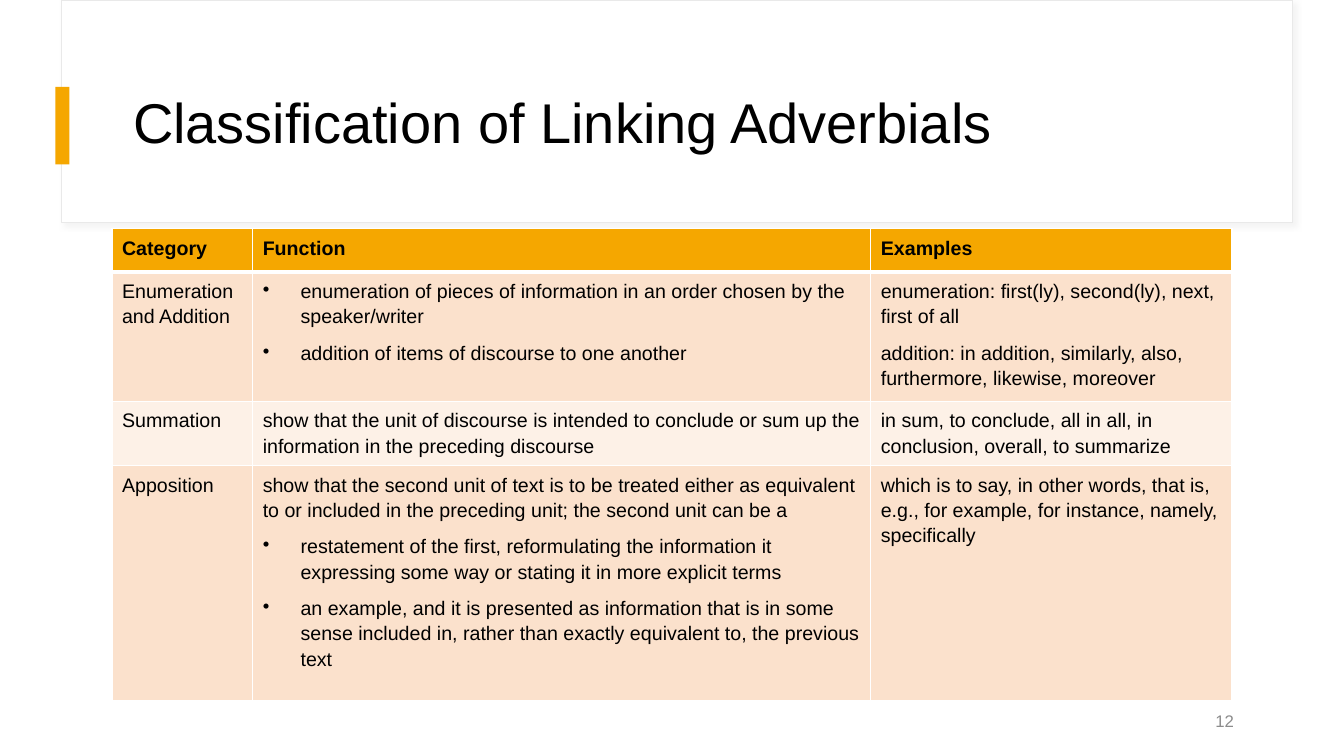
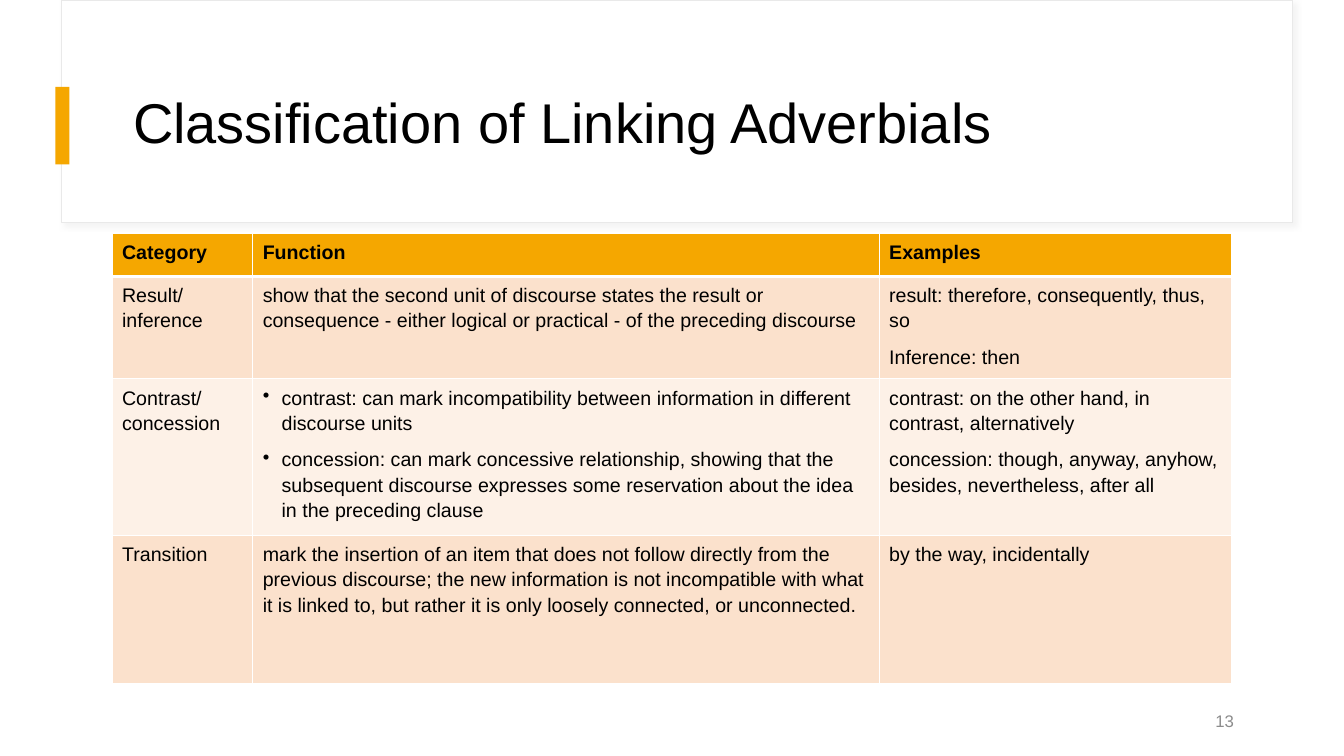
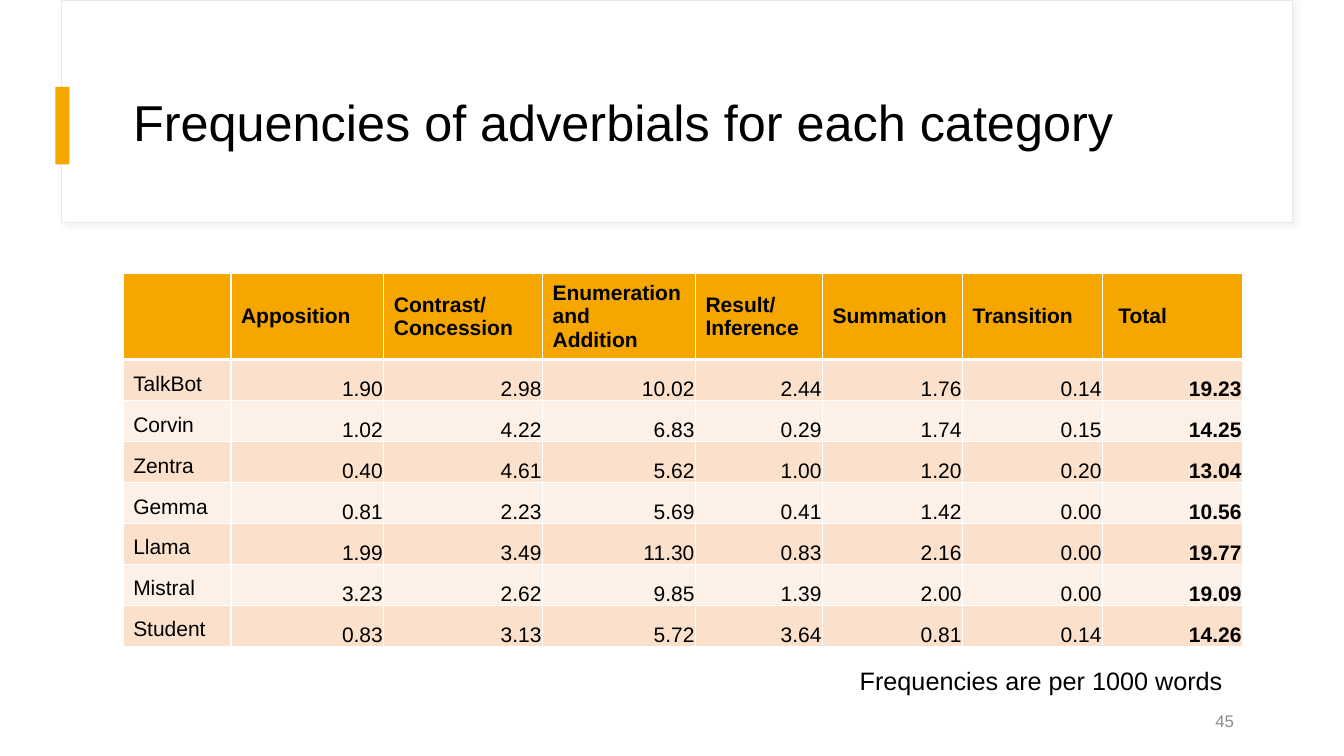
from copy import deepcopy

from lxml import etree
from pptx import Presentation
from pptx.dml.color import RGBColor
from pptx.enum import shapes, text
from pptx.oxml import ns
from pptx.util import Pt

FONT = "Arial"
COLORS = {"white": "FFFFFF", "accent": "F5A700", "odd": "FBE1CC", "even": "FDF1E7",
          "outline": "E9E9E9", "shadow": "D9D9D9", "text": "000000", "number": "8C8C8C"}
ANCHOR = text.MSO_ANCHOR
ALIGN = text.PP_ALIGN
BULLET = "• "
CELL_INSETS = (7.2, 3.6, 7.2, 3.6)
FIGURE_INSETS = (0.72, 0.72, 0.72, 0)

HEADINGS = ["Category", "Function", "Examples"]
FIRST_CATEGORIES = [
    HEADINGS,
    ["Enumeration and Addition",
     ["• enumeration of pieces of information in an order chosen by the speaker/writer",
      "• addition of items of discourse to one another"],
     ["enumeration: first(ly), second(ly), next, first of all",
      "addition: in addition, similarly, also, furthermore, likewise, moreover"]],
    ["Summation",
     "show that the unit of discourse is intended to conclude or sum up the information "
     "in the preceding discourse",
     "in sum, to conclude, all in all, in conclusion, overall, to summarize"],
    ["Apposition",
     ["show that the second unit of text is to be treated either as equivalent to or "
      "included in the preceding unit; the second unit can be a",
      "• restatement of the first, reformulating the information it expressing some way "
      "or stating it in more explicit terms",
      "• an example, and it is presented as information that is in some sense included in, "
      "rather than exactly equivalent to, the previous text"],
     "which is to say, in other words, that is, e.g., for example, for instance, namely, "
     "specifically"],
]
SECOND_CATEGORIES = [
    HEADINGS,
    ["Result/\ninference",
     "show that the second unit of discourse states the result or consequence - either "
     "logical or practical - of the preceding discourse",
     ["result: therefore, consequently, thus, so", "Inference: then"]],
    ["Contrast/\nconcession",
     ["• contrast: can mark incompatibility between information in different discourse units",
      "• concession: can mark concessive relationship, showing that the subsequent discourse "
      "expresses some reservation about the idea in the preceding clause"],
     ["contrast: on the other hand, in contrast, alternatively",
      "concession: though, anyway, anyhow, besides, nevertheless, after all"]],
    ["Transition",
     "mark the insertion of an item that does not follow directly from the previous "
     "discourse; the new information is not incompatible with what it is linked to, but "
     "rather it is only loosely connected, or unconnected.",
     "by the way, incidentally"],
]
FREQUENCIES = [
    ["", "Apposition", "Contrast/\nConcession", "Enumeration and\nAddition",
     "Result/\nInference", "Summation", "Transition", " Total"],
    ["TalkBot", "1.90", "2.98", "10.02", "2.44", "1.76", "0.14", "19.23"],
    ["Corvin", "1.02", "4.22", "6.83", "0.29", "1.74", "0.15", "14.25"],
    ["Zentra", "0.40", "4.61", "5.62", "1.00", "1.20", "0.20", "13.04"],
    ["Gemma", "0.81", "2.23", "5.69", "0.41", "1.42", "0.00", "10.56"],
    ["Llama", "1.99", "3.49", "11.30", "0.83", "2.16", "0.00", "19.77"],
    ["Mistral", "3.23", "2.62", "9.85", "1.39", "2.00", "0.00", "19.09"],
    ["Student", "0.83", "3.13", "5.72", "3.64", "0.81", "0.14", "14.26"],
]


def rgb(name):
    """Return a palette colour."""
    return RGBColor.from_string(COLORS[name])


def add_element(parent, tag, **attributes):
    """Append a drawing element with the given attributes."""
    element = etree.SubElement(parent, ns.qn(f"a:{tag}"))
    for name, value in attributes.items():
        element.set(name, str(value))
    return element


def add_color(parent, name):
    """Append a palette colour to an element."""
    return add_element(parent, "srgbClr", val=COLORS[name])


def write_text(frame, content, size=14, color="text", bold=False, align=ALIGN.LEFT,
               spacing=None, after=0, indent=0):
    """Fill a text frame with one string or a list of paragraphs."""
    lines = [content] if isinstance(content, str) else content
    for index, line in enumerate(lines):
        paragraph = frame.paragraphs[0] if index == 0 else frame.add_paragraph()
        if line.startswith(BULLET):
            line = line[len(BULLET):]
            properties = paragraph._p.get_or_add_pPr()
            properties.set("marL", str(Pt(indent)))
            properties.set("indent", str(-Pt(indent)))
            add_element(properties, "buChar", char=BULLET.strip())
        paragraph.alignment = align
        paragraph.line_spacing = spacing
        paragraph.space_after = Pt(after)
        for part_index, part in enumerate(line.split("\n")):
            if part_index:
                paragraph.add_line_break()
            run = paragraph.add_run()
            run.text = part
            run.font.name = FONT
            run.font.size = Pt(size)
            run.font.bold = bold
            run.font.color.rgb = rgb(color)
        for line_break in paragraph._p.findall(ns.qn("a:br")):
            line_break.append(deepcopy(run._r.rPr))


def add_text(slide, box, content, anchor=ANCHOR.TOP, **style):
    """Add a wrapping text box."""
    frame = slide.shapes.add_textbox(*map(Pt, box)).text_frame
    frame.word_wrap = True
    frame.vertical_anchor = anchor
    write_text(frame, content, **style)


def add_box(slide, box, fill, line=None):
    """Add a plain filled rectangle."""
    shape = slide.shapes.add_shape(shapes.MSO_SHAPE.RECTANGLE, *map(Pt, box))
    shape.shadow.inherit = False
    shape.fill.solid()
    shape.fill.fore_color.rgb = rgb(fill)
    if line:
        shape.line.color.rgb = rgb(line)
        shape.line.width = Pt(0.75)
    else:
        shape.line.fill.background()
    return shape


def add_soft_shadow(shape):
    """Give a shape a faint shadow to the lower right."""
    effects = shape._element.spPr.find(ns.qn("a:effectLst"))
    shadow = add_element(effects, "outerShdw", blurRad=Pt(4), dist=Pt(3), dir=45 * 60000)
    add_element(add_color(shadow, "shadow"), "alpha", val=30000)


def add_title_band(slide, box, title, size):
    """Draw the title panel with its accent bar and title."""
    left, top, width, height = box
    add_soft_shadow(add_box(slide, box, "white", "outline"))
    add_box(slide, (left - 4.5, top + 62, 10, 55.5), "accent")
    add_text(slide, (left + 44, top + 43, width - 78, height - 66), title,
             anchor=ANCHOR.MIDDLE, size=size, spacing=0.9)


def add_base(presentation, title, number, title_size=40):
    """Add a slide with the shared title band and page number."""
    slide = presentation.slides.add_slide(presentation.slide_layouts[6])
    add_title_band(slide, (44, 0, 879, 159), title, title_size)
    add_text(slide, (672.5, 500.5, 216, 28.8), str(number), anchor=ANCHOR.MIDDLE,
             size=12, color="number", align=ALIGN.RIGHT)
    return slide


def style_cell(cell, row, insets, anchor):
    """Set the borders, fill, insets and anchor of a cell by its row."""
    properties = cell._tc.get_or_add_tcPr()
    widths = {"L": 1, "R": 1, "T": 3 if row == 1 else 1, "B": 3 if row == 0 else 1}
    for side, width in widths.items():
        line = add_element(properties, f"ln{side}", w=Pt(width))
        add_color(add_element(line, "solidFill"), "white")
    cell.fill.solid()
    cell.fill.fore_color.rgb = rgb("accent" if row == 0 else "odd" if row % 2 else "even")
    cell.margin_left, cell.margin_top, cell.margin_right, cell.margin_bottom = map(Pt, insets)
    cell.vertical_anchor = anchor


def add_grid(slide, left, top, columns, heights, rows, cell_format):
    """Add a table, with insets, anchor and text style chosen by cell_format."""
    frame = slide.shapes.add_table(len(rows), len(columns), Pt(left), Pt(top),
                                   Pt(sum(columns)), Pt(sum(heights)))
    table = frame.table
    table.first_row = table.horz_banding = False
    for column, width in zip(table.columns, columns):
        column.width = Pt(width)
    for r, (row, height) in enumerate(zip(rows, heights)):
        table.rows[r].height = Pt(height)
        for c, content in enumerate(row):
            cell = table.cell(r, c)
            insets, anchor, style = cell_format(r, c)
            style_cell(cell, r, insets, anchor)
            if content:
                write_text(cell.text_frame, content, **style)


def add_category_slide(presentation, number, top, columns, heights, rows, indent):
    """Add a slide that classifies linking adverbials."""
    def cell_format(row, column):
        """Format a text cell."""
        return CELL_INSETS, ANCHOR.TOP, dict(bold=row == 0, spacing=1.15, after=8, indent=indent)

    slide = add_base(presentation, "Classification of Linking Adverbials", number)
    add_grid(slide, 80, top, columns, heights, rows, cell_format)


def add_frequency_slide(presentation, number):
    """Add the slide of frequencies for each category."""
    def cell_format(row, column):
        """Format a heading, a name or a figure."""
        if row == 0:
            return CELL_INSETS, ANCHOR.MIDDLE, dict(size=15, bold=True)
        if column == 0:
            return CELL_INSETS, ANCHOR.BOTTOM, dict(size=15)
        return FIGURE_INSETS, ANCHOR.BOTTOM, dict(size=15, bold=column == 7, align=ALIGN.RIGHT)

    slide = add_base(presentation, "Frequencies of adverbials for each category", number, 36)
    columns = [77, 109.2, 113.4, 109.2, 90.8, 100, 100, 100]
    add_grid(slide, 88, 195.5, columns, [56] + [29.3] * 7, FREQUENCIES, cell_format)
    add_text(slide, (607, 471.6, 281.5, 28.8), "Frequencies are per 1000 words", size=18)


def main():
    """Build and save the presentation."""
    presentation = Presentation()
    presentation.slide_width, presentation.slide_height = Pt(960), Pt(540)
    add_category_slide(presentation, 12, 163.5, [100.5, 441.5, 258],
                       [31, 86.5, 42.5, 168], FIRST_CATEGORIES, 27)
    add_category_slide(presentation, 13, 166.5, [100.5, 447.5, 252],
                       [31, 66.5, 102, 106], SECOND_CATEGORIES, 13.5)
    add_frequency_slide(presentation, 45)
    presentation.save("out.pptx")


if __name__ == "__main__":
    main()
